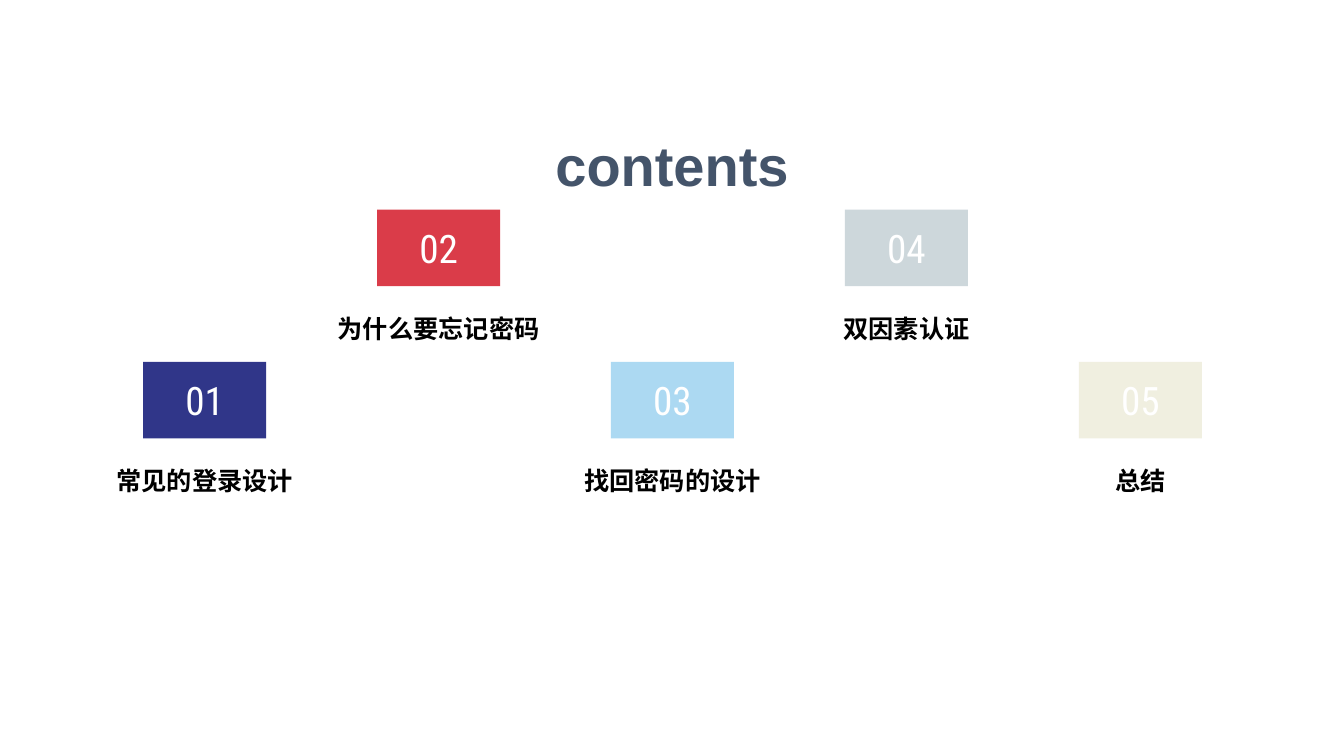
from pptx import Presentation
from pptx.dml.color import RGBColor
from pptx.enum.shapes import MSO_SHAPE
from pptx.enum.text import MSO_ANCHOR, MSO_AUTO_SIZE, PP_ALIGN
from pptx.util import Inches, Pt

RECTANGLE = MSO_SHAPE.RECTANGLE
TOP, MIDDLE, BOTTOM = MSO_ANCHOR.TOP, MSO_ANCHOR.MIDDLE, MSO_ANCHOR.BOTTOM
CENTER = PP_ALIGN.CENTER
NO_AUTOFIT = MSO_AUTO_SIZE.NONE

TITLE = "contents"
CHAPTERS = [
    ("常见的登录设计", "303689"),
    ("为什么要忘记密码", "DA3C49"),
    ("找回密码的设计", "ACD9F2"),
    ("双因素认证", "CDD7DB"),
    ("总结", "F0EFE0"),
]

FIRST_CENTER, STEP = 2.03, 2.32
LOWER_ROW, UPPER_ROW = 3.59, 2.08
TILE_WIDTH, TILE_HEIGHT = 1.22, 0.76
LABEL_WIDTH, LABEL_HEIGHT = 2.31, 0.46
LABEL_DROP = 0.92


def color(value):
    return RGBColor.from_string(value)


def write(box, text, size, ink, font="Arial", bold=False, anchor=TOP, margins=(0.1, 0.05)):
    frame = box.text_frame
    frame.word_wrap = False
    frame.auto_size = NO_AUTOFIT
    frame.vertical_anchor = anchor
    frame.margin_left = frame.margin_right = Inches(margins[0])
    frame.margin_top = frame.margin_bottom = Inches(margins[1])
    para = frame.paragraphs[0]
    para.alignment = CENTER
    para.line_spacing = 1.0
    para.space_before = Pt(0)
    span = para.add_run()
    span.text = text
    span.font.size = Pt(size)
    span.font.name = font
    span.font.bold = bold
    span.font.color.rgb = color(ink)


def add_chapter(page, index, label, fill):
    center = FIRST_CENTER + index * STEP
    top = UPPER_ROW if index % 2 else LOWER_ROW
    tile = page.shapes.add_shape(
        RECTANGLE, Inches(center - TILE_WIDTH / 2), Inches(top),
        Inches(TILE_WIDTH), Inches(TILE_HEIGHT))
    tile.shadow.inherit = False
    tile.fill.solid()
    tile.fill.fore_color.rgb = color(fill)
    tile.line.fill.background()
    write(tile, f"{index + 1:02d}", 28, "FFFFFF", font="Roboto Condensed",
          anchor=MIDDLE, margins=(0, 0))
    caption = page.shapes.add_textbox(
        Inches(center - LABEL_WIDTH / 2), Inches(top + LABEL_DROP),
        Inches(LABEL_WIDTH), Inches(LABEL_HEIGHT))
    write(caption, label, 18, "000000", bold=True, anchor=BOTTOM)


def main():
    deck = Presentation()
    deck.slide_width, deck.slide_height = Inches(13.33), Inches(7.5)
    page = deck.slides.add_slide(deck.slide_layouts[5])
    title = page.shapes.title
    title.left, title.top = Inches(4.96), Inches(1.24)
    title.width, title.height = Inches(3.41), Inches(0.84)
    write(title, TITLE, 40, "44546A", bold=True)
    for index, (label, fill) in enumerate(CHAPTERS):
        add_chapter(page, index, label, fill)
    deck.save("out.pptx")


if __name__ == "__main__":
    main()
